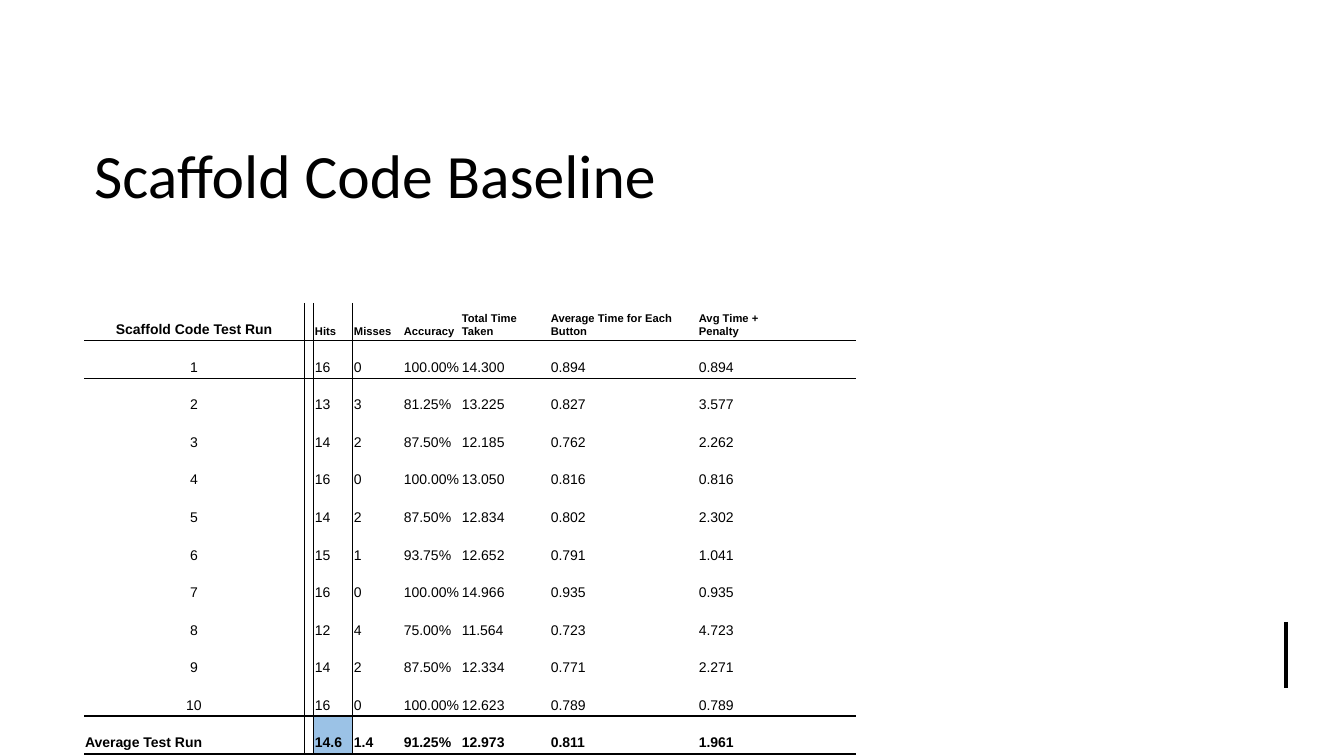
"""Build the Scaffold Code Baseline slide with its table of test runs."""
from lxml.etree import SubElement
from pptx import Presentation
from pptx.dml.color import RGBColor
from pptx.enum.shapes import MSO_CONNECTOR
from pptx.enum.text import MSO_ANCHOR as ANCHOR, PP_ALIGN as ALIGN
from pptx.oxml.ns import qn
from pptx.util import Emu, Pt

BLACK = RGBColor(0x00, 0x00, 0x00)
WHITE = RGBColor(0xFF, 0xFF, 0xFF)
HIGHLIGHT = RGBColor(0x9B, 0xC2, 0xE6)
NO_STYLE = "{2D5ABB26-0587-4C30-8999-92F81FD0307C}"
THIN, THICK = 0.75, 1.5


def px(length):
    return Emu(round(length * 914400 / 100.8))


def add_border(cell, side, points):
    line = SubElement(cell._tc.get_or_add_tcPr(), qn(f"a:ln{side}"), w=str(Pt(points)))
    SubElement(SubElement(line, qn("a:solidFill")), qn("a:srgbClr"), val=str(BLACK))


prs = Presentation()
prs.slide_width, prs.slide_height = px(1344), px(756)
slide = prs.slides.add_slide(prs.slide_layouts[5])
slide.background.fill.solid()
slide.background.fill.fore_color.rgb = WHITE

accent = slide.shapes.add_connector(MSO_CONNECTOR.STRAIGHT, px(1286), px(622), px(1286), px(688))
accent.line.color.rgb = BLACK
accent.line.width = Pt(3)
SubElement(accent._element.spPr, qn("a:effectLst"))

title = slide.shapes.title
title.left, title.top, title.width, title.height = px(84), px(95), px(1144), px(158)
title.text_frame.text = "Scaffold Code Baseline"
title.text_frame.vertical_anchor = ANCHOR.MIDDLE
heading = title.text_frame.paragraphs[0]
heading.alignment = ALIGN.LEFT
heading.font.name, heading.font.size = "Calibri", Pt(44)
heading.font.color.rgb = BLACK

headers = ["Scaffold Code Test Run", "", "Hits", "Misses", "Accuracy", "Total Time Taken",
           "Average Time for Each Button", "Avg Time + Penalty", ""]
runs = [
    ("16", "0", "100.00%", "14.300", "0.894", "0.894"),
    ("13", "3", "81.25%", "13.225", "0.827", "3.577"),
    ("14", "2", "87.50%", "12.185", "0.762", "2.262"),
    ("16", "0", "100.00%", "13.050", "0.816", "0.816"),
    ("14", "2", "87.50%", "12.834", "0.802", "2.302"),
    ("15", "1", "93.75%", "12.652", "0.791", "1.041"),
    ("16", "0", "100.00%", "14.966", "0.935", "0.935"),
    ("12", "4", "75.00%", "11.564", "0.723", "4.723"),
    ("14", "2", "87.50%", "12.334", "0.771", "2.271"),
    ("16", "0", "100.00%", "12.623", "0.789", "0.789"),
]
averages = ["Average Test Run", "", "14.6", "1.4", "91.25%", "12.973", "0.811", "1.961", ""]
rows = [headers, *([str(number), "", *run, ""] for number, run in enumerate(runs, 1)), averages]
last = len(rows) - 1
column_widths = [220, 10, 39, 50, 58, 89, 148, 96, 62]
rules_below = {0: THIN, last - 1: THICK, last: THICK}

results = slide.shapes.add_table(len(rows), len(headers), px(84), px(303),
                                 px(sum(column_widths)), px(451)).table
results.first_row = results.horz_banding = False
results._tbl.tblPr.find(qn("a:tableStyleId")).text = NO_STYLE
for column, width in zip(results.columns, column_widths):
    column.width = px(width)

for r, row in enumerate(rows):
    for c, value in enumerate(row):
        cell = results.cell(r, c)
        cell.text = value
        cell.vertical_anchor = ANCHOR.BOTTOM
        cell.margin_left = cell.margin_right = cell.margin_top = px(1)
        cell.margin_bottom = px(3)
        entry = cell.text_frame.paragraphs[0]
        entry.alignment = ALIGN.CENTER if c == 0 and r < last else ALIGN.LEFT
        entry.font.name = "Arial"
        entry.font.size = Pt(8 if r == 0 and c > 0 else 10)
        entry.font.bold = r in (0, last)
        entry.font.color.rgb = BLACK
        if c in (1, 2):
            add_border(cell, "L", THIN)
        if c in (0, 1):
            add_border(cell, "R", THIN)
        if r - 1 in rules_below:
            add_border(cell, "T", rules_below[r - 1])
        if r in rules_below:
            add_border(cell, "B", rules_below[r])
        if value == "14.6":
            cell.fill.solid()
            cell.fill.fore_color.rgb = HIGHLIGHT
        else:
            cell.fill.background()

prs.save("out.pptx")
